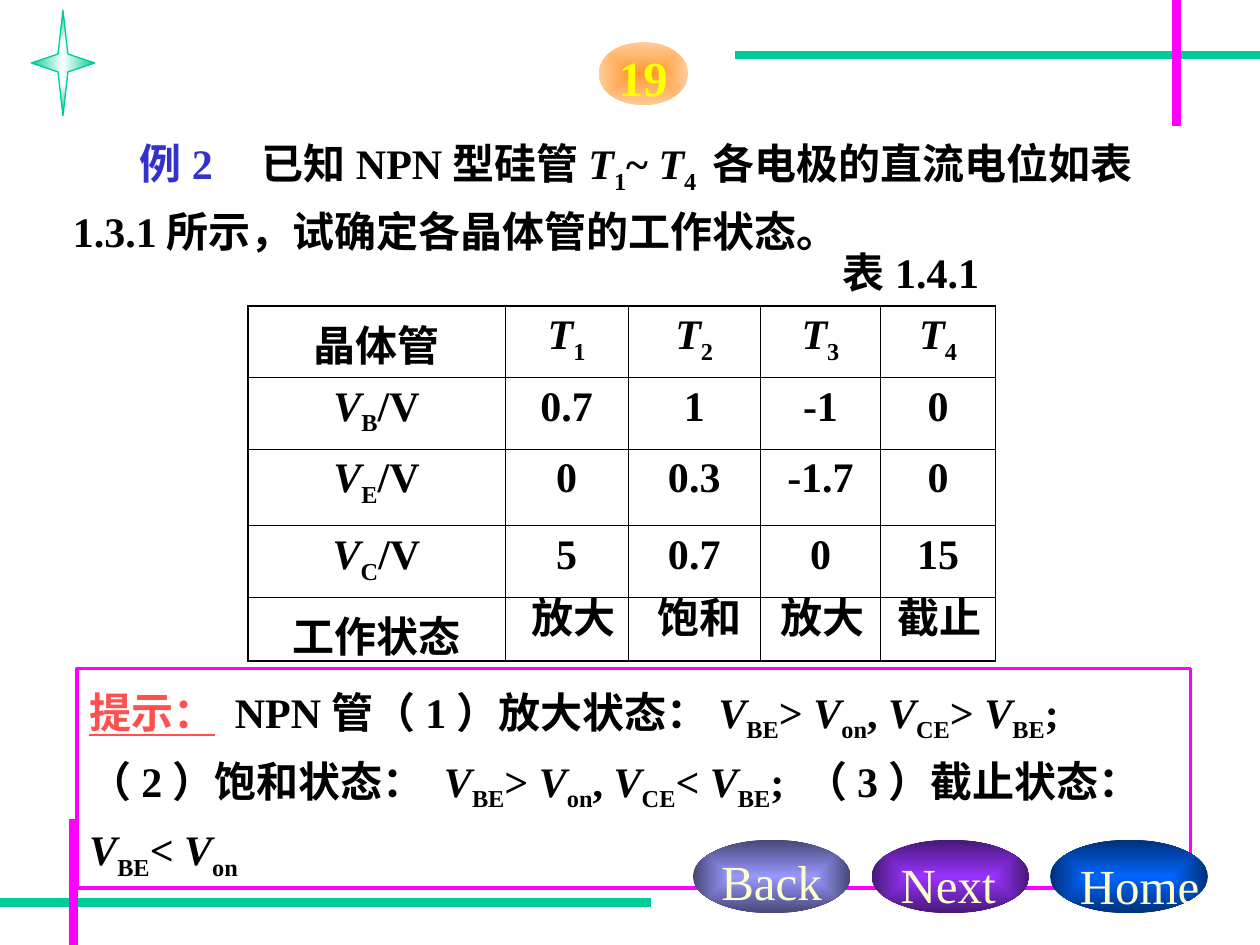
from typing import NamedTuple

from lxml.etree import SubElement
from pptx import Presentation
from pptx.dml.color import RGBColor
from pptx.enum.shapes import MSO_CONNECTOR, MSO_SHAPE
from pptx.enum.text import MSO_ANCHOR, PP_ALIGN
from pptx.oxml.ns import qn
from pptx.util import Cm, Pt

FONT = "Times New Roman"
COLORS = {
    "green": "00CC99", "magenta": "FF00FF", "white": "FFFFFF", "black": "000000",
    "blue": "3333CC", "red": "FF5050", "yellow": "FFFF00", "cream": "FFFFCC",
    "orange": "FF9933", "peach": "FFCC99",
    "lavender": "9999FF", "slate": "474776",
    "violet": "9933FF", "plum": "471876",
    "azure": "0066FF", "navy": "003077",
}


class Span(NamedTuple):
    text: str
    color: str = "black"
    italic: bool = False
    subscript: bool = False
    underline: bool = False


class Area(NamedTuple):
    left: float
    top: float
    width: float
    height: float

    def lengths(self) -> list:
        return [Cm(value) for value in self]


class Rule(NamedTuple):
    start: tuple
    end: tuple
    color: str


class Button(NamedTuple):
    label: str
    color: str
    edge: str
    text_left: float
    text_top: float


def rgb(name: str) -> RGBColor:
    return RGBColor.from_string(COLORS[name])


def symbol(letter: str, index: str) -> list:
    """An italic quantity with its subscript."""
    return [Span(letter, italic=True), Span(index, subscript=True)]


def compare(left: str, sign: str, right: str) -> list:
    return [*symbol("V", left), Span(sign + " "), *symbol("V", right)]


def write(frame, spans: list, size=24, bold=True, align=PP_ALIGN.CENTER):
    para = frame.paragraphs[0]
    para.alignment = align
    for item in spans:
        span = para.add_run()
        span.text = item.text
        font = span.font
        font.name, font.size, font.bold = FONT, Pt(size), bold
        font.italic, font.underline = item.italic, item.underline
        font.color.rgb = rgb(item.color)
        if item.subscript:
            span._r.get_or_add_rPr().set("baseline", "-25000")
    return para


def add_text(shapes, area: Area, spans: list, wrap=True, **style):
    box = shapes.add_textbox(*area.lengths())
    box.text_frame.word_wrap = wrap
    return box, write(box.text_frame, spans, **style)


def add_badge_text(shapes, area: Area, text: str, color: str, bold: bool) -> None:
    box, _ = add_text(shapes, area, [Span(text, color)], size=28, bold=bold)
    frame = box.text_frame
    frame.margin_left = frame.margin_right = frame.margin_bottom = 0
    frame.margin_top = Cm(0.1)


def fill_gradient(shape, inner: str, outer: str) -> None:
    """Rectangular gradient running between centre and edge."""
    shape.shadow.inherit = False
    shape.fill.gradient()
    for stop, color in zip(shape.fill.gradient_stops, (inner, outer)):
        stop.color.rgb = rgb(color)
    gradient = shape._element.spPr.find(qn("a:gradFill"))
    gradient.remove(gradient.find(qn("a:lin")))
    route = SubElement(gradient, qn("a:path"), path="rect")
    SubElement(route, qn("a:fillToRect"), l="50000", t="50000", r="50000", b="50000")


def add_ellipse(shapes, area: Area, inner: str, outer: str) -> None:
    ellipse = shapes.add_shape(MSO_SHAPE.OVAL, *area.lengths())
    fill_gradient(ellipse, inner, outer)
    ellipse.line.fill.background()


def add_rule(shapes, rule: Rule) -> None:
    ends = [Cm(value) for value in rule.start + rule.end]
    line = shapes.add_connector(MSO_CONNECTOR.STRAIGHT, *ends)
    line.line.color.rgb = rgb(rule.color)
    line.line.width = Pt(5)
    SubElement(line._element.spPr, qn("a:effectLst"))


def add_star(shapes) -> None:
    center, wide, tall, inner_x, inner_y = 1.27, 0.64, 1.06, 0.1, 0.18
    offsets = [(-wide, 0), (-inner_x, -inner_y), (0, -tall), (inner_x, -inner_y),
               (wide, 0), (inner_x, inner_y), (0, tall), (-inner_x, inner_y)]
    points = [(Cm(center + x), Cm(center + y)) for x, y in offsets]
    builder = shapes.build_freeform(*points[0])
    builder.add_line_segments(points[1:], close=True)
    star = builder.convert_to_shape()
    fill_gradient(star, "white", "green")
    star.line.color.rgb = rgb("green")
    star.line.width = Pt(0)


def set_borders(cell, widths: dict) -> None:
    properties = cell._tc.get_or_add_tcPr()
    for side, width in widths.items():
        line = SubElement(properties, qn(f"a:ln{side}"), w=str(Pt(width)))
        fill = SubElement(line, qn("a:solidFill"))
        SubElement(fill, qn("a:srgbClr"), val=COLORS["black"])


def add_grid(shapes, left: float, top: float, widths: list, heights: list, rows: list) -> None:
    area = Area(left, top, sum(widths), sum(heights))
    table = shapes.add_table(len(rows), len(widths), *area.lengths()).table
    table.first_row = table.horz_banding = False
    for column, width in zip(table.columns, widths):
        column.width = Cm(width)
    for row, height in zip(table.rows, heights):
        row.height = Cm(height)
    thin, thick = 0.45, 1.08
    last_row, last_column = len(rows) - 1, len(widths) - 1
    for r, row in enumerate(rows):
        for c, spans in enumerate(row):
            cell = table.cell(r, c)
            set_borders(cell, {
                "L": thick if c == 0 else thin,
                "R": thick if c == last_column else thin,
                "T": thick if r == 0 else thin,
                "B": thick if r == last_row else thin,
            })
            cell.fill.background()
            write(cell.text_frame, spans)


def main() -> None:
    deck = Presentation()
    deck.slide_width, deck.slide_height = Cm(25.4), Cm(19.05)
    page = deck.slides.add_slide(deck.slide_layouts[6])
    shapes = page.shapes

    # Corner decoration
    for rule in (Rule((14.82, 1.11), (25.4, 1.11), "green"),
                 Rule((0, 18.2), (13.12, 18.2), "green"),
                 Rule((23.71, 2.54), (23.71, 0), "magenta"),
                 Rule((1.48, 19.05), (1.48, 16.51), "magenta")):
        add_rule(shapes, rule)
    add_star(shapes)

    # Page number badge
    badge = shapes.add_group_shape().shapes
    add_ellipse(badge, Area(12.07, 0.85, 1.8, 1.27), "orange", "peach")
    add_badge_text(badge, Area(12.37, 0.85, 1.2, 1.2), "19", "yellow", True)

    # Problem statement, with an indented first line
    _, para = add_text(shapes, Area(1.22, 2.42, 22.5, 2.87), [
        Span("例2\t", "blue"), Span("已知NPN型硅管"), *symbol("T", "1"), Span("~ "),
        *symbol("T", "4 "), Span("各电极的直流电位如表1.3.1所示，试确定各晶体管的工作状态。"),
    ], align=PP_ALIGN.LEFT)
    para.line_spacing = 1.2
    properties = para._p.get_or_add_pPr()
    properties.set("indent", str(Cm(1.35)))
    stops = SubElement(properties, qn("a:tabLst"))
    SubElement(stops, qn("a:tab"), pos=str(Cm(3.47)), algn="l")

    # Table of electrode potentials
    readings = {"B": ["0.7", "1", "-1", "0"],
                "E": ["0", "0.3", "-1.7", "0"],
                "C": ["5", "0.7", "0", "15"]}
    rows = [[[Span("晶体管")], *(symbol("T", index) for index in "1234")]]
    for electrode, values in readings.items():
        rows.append([[*symbol("V", electrode), Span("/V")], *([Span(v)] for v in values)])
    rows.append([[Span("工作状态")], [], [], [], []])
    add_grid(shapes, 5, 6.17, [5.18, 2.48, 2.67, 2.42, 2.32],
             [1.44, 1.44, 1.55, 1.44, 1.28], rows)

    # Hint panel
    hint = shapes.add_shape(MSO_SHAPE.RECTANGLE, *Area(1.55, 13.48, 22.45, 4.42).lengths())
    hint.shadow.inherit = False
    hint.fill.solid()
    hint.fill.fore_color.rgb = rgb("white")
    hint.line.color.rgb = rgb("magenta")
    hint.line.width = Pt(2)
    hint.text_frame.word_wrap = True
    hint.text_frame.vertical_anchor = MSO_ANCHOR.TOP
    para = write(hint.text_frame, [
        Span("提示：", "red", underline=True), Span(" NPN管（1）放大状态："),
        *compare("BE", ">", "on"), Span(", "), *compare("CE", ">", "BE"),
        Span("; （2）饱和状态： "),
        *compare("BE", ">", "on"), Span(", "), *compare("CE", "<", "BE"),
        Span("; （3）截止状态： "), *compare("BE", "<", "on"),
    ], align=PP_ALIGN.LEFT)
    para.line_spacing = 1.2

    # Table caption and the answers over its last row
    add_text(shapes, Area(16.74, 4.85, 3.25, 1.27), [Span("表1.4.1")], wrap=False)
    for left, state in ((10.39, "放大"), (12.93, "饱和"), (15.42, "放大"), (17.78, "截止")):
        add_text(shapes, Area(left, 11.79, 2.33, 1.27), [Span(state)])

    # Navigation buttons
    buttons = [Button("Back", "lavender", "slate", 14.07, 17.07),
               Button("Next", "violet", "plum", 17.63, 17.12),
               Button("Home", "azure", "navy", 21.49, 17.15)]
    for i, button in enumerate(buttons):
        add_ellipse(shapes, Area(13.97 + 3.6 * i, 16.93, 3.18, 1.48), button.color, button.edge)
        add_badge_text(shapes, Area(button.text_left, button.text_top, 2.97, 1.2),
                       button.label, "cream", False)

    deck.save("out.pptx")


if __name__ == "__main__":
    main()
